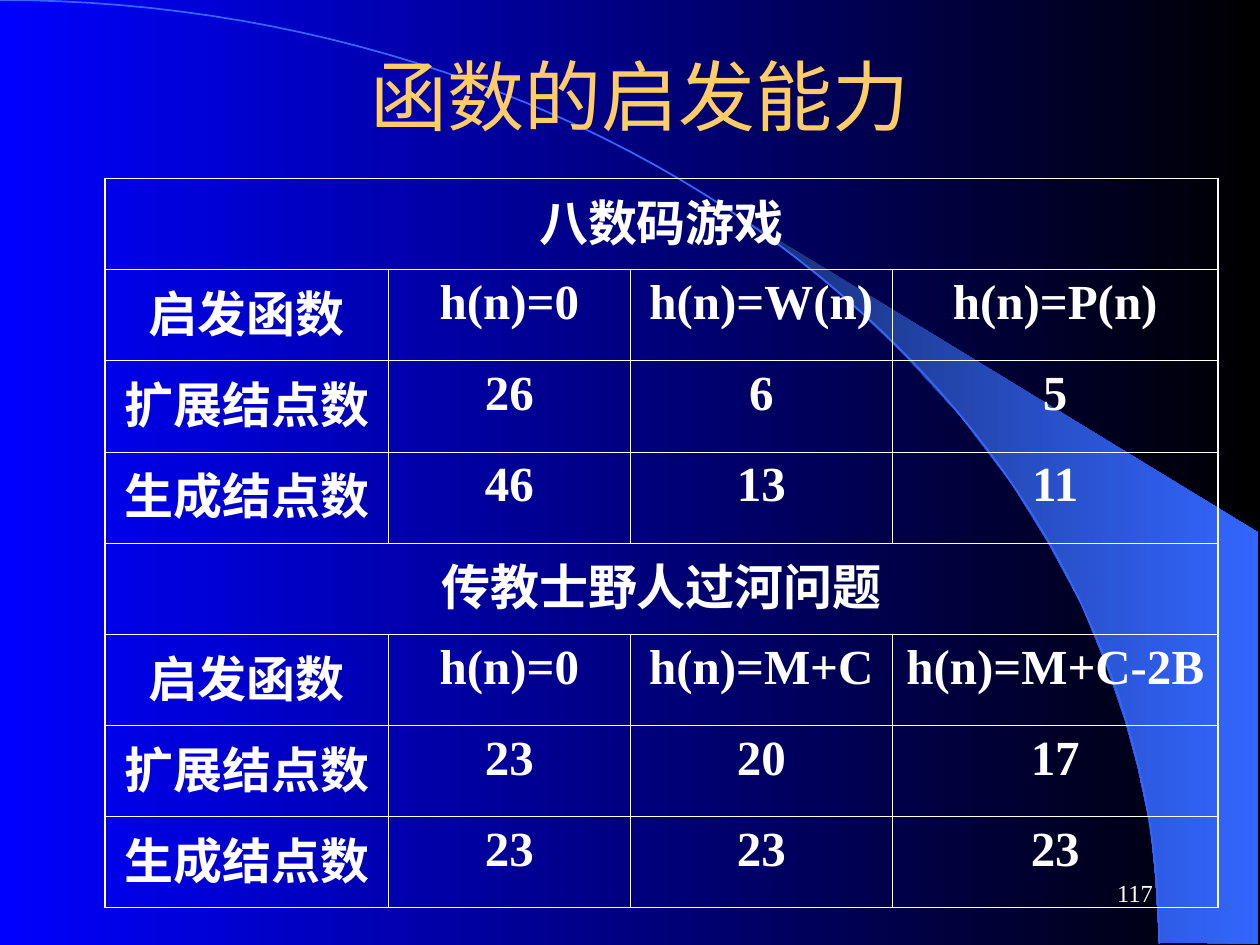
import math

from lxml import etree
from pptx import Presentation
from pptx.dml.color import RGBColor
from pptx.enum import text as t
from pptx.oxml.ns import qn
from pptx.util import Pt

TITLE = "函数的启发能力"
PAGE_NUMBER = "117"
PROBLEMS = [
    ("八数码游戏", [
        ("启发函数", "h(n)=0", "h(n)=W(n)", "h(n)=P(n)"),
        ("扩展结点数", "26", "6", "5"),
        ("生成结点数", "46", "13", "11"),
    ]),
    ("传教士野人过河问题", [
        ("启发函数", "h(n)=0", "h(n)=M+C", "h(n)=M+C-2B"),
        ("扩展结点数", "23", "20", "17"),
        ("生成结点数", "23", "23", "23"),
    ]),
]
COLUMN_WIDTHS = [162, 138, 150, 186]
ROW_HEIGHT = 52.1
TABLE_LEFT, TABLE_TOP = 60, 102
OUTER_LINE, INNER_LINE = 1.08, 0.45
WHITE, GOLD, SKY = "FFFFFF", "FFCC66", "3366FF"

# Flare outline in inches
FLARE = [(9.2, 7.48), (9.99, 7.49), (9.99, 4.23), (5.89, 1.73), (6.24, 1.99),
         (6.53, 2.22), (6.85, 2.5), (7.16, 2.8), (7.62, 3.3), (8.03, 3.84),
         (8.32, 4.31), (8.58, 4.79), (8.78, 5.28), (8.93, 5.72), (9.03, 6.09),
         (9.13, 6.56), (9.17, 6.96)]
ARC_WIDTH, ARC_HEIGHT, ARC_STEPS = 662.4, 539.3, 60


def rgb(value):
    return RGBColor.from_string(value)


def gradient(fill, start, end):
    """Fill from left to right."""
    fill.gradient()
    fill.gradient_angle = 0
    for stop, value, position in zip(fill.gradient_stops, (start, end), (0, 1)):
        stop.color.rgb = rgb(value)
        stop.position = position


def outline(shapes, points, closed):
    """Add a freeform through points given in points."""
    corners = [(Pt(x), Pt(y)) for x, y in points]
    builder = shapes.build_freeform(*corners[0])
    builder.add_line_segments(corners[1:], close=closed)
    shape = builder.convert_to_shape()
    shape.shadow.inherit = False
    return shape


def write(frame, words, size, font, color, align, bold=False):
    paragraph = frame.paragraphs[0]
    paragraph.alignment = align
    run = paragraph.add_run()
    run.text = words
    run.font.size = Pt(size)
    run.font.name = font
    run.font.bold = bold
    run.font.color.rgb = rgb(color)
    return paragraph


def set_borders(cell, outer_sides):
    properties = cell._tc.get_or_add_tcPr()
    for side in "LRTB":
        width = OUTER_LINE if side in outer_sides else INNER_LINE
        line = etree.SubElement(properties, qn("a:ln" + side), w=str(int(Pt(width))))
        fill = etree.SubElement(line, qn("a:solidFill"))
        etree.SubElement(fill, qn("a:srgbClr"), val=WHITE)


def add_backdrop(slide):
    gradient(slide.background.fill, "0000FF", "000000")
    flare = outline(slide.shapes, [(x * 72, y * 72) for x, y in FLARE], True)
    gradient(flare.fill, "182F76", SKY)
    flare.line.fill.background()

    angles = [math.pi / 2 * step / ARC_STEPS for step in range(ARC_STEPS + 1)]
    arc = outline(slide.shapes, [(ARC_WIDTH * math.sin(a), ARC_HEIGHT * (1 - math.cos(a)))
                                 for a in angles], False)
    arc.fill.background()
    arc.line.color.rgb = rgb(SKY)
    arc.line.width = Pt(1)


def add_page_number(slide):
    box = slide.shapes.add_textbox(Pt(516), Pt(492), Pt(150), Pt(36))
    box.text_frame.word_wrap = True
    box.text_frame.vertical_anchor = t.MSO_ANCHOR.MIDDLE
    write(box.text_frame, PAGE_NUMBER, 14, "Times New Roman", WHITE, t.PP_ALIGN.RIGHT)


def place_title(slide):
    title = slide.shapes.title
    title.left, title.top, title.width, title.height = Pt(60), Pt(18), Pt(612), Pt(72)
    title.text_frame.vertical_anchor = t.MSO_ANCHOR.MIDDLE
    write(title.text_frame, TITLE, 44, "Arial", GOLD, t.PP_ALIGN.CENTER)
    slide.shapes._spTree.append(title._element)  # bring above the backdrop


def add_results(slide):
    rows = [row for heading, body in PROBLEMS for row in [(heading,), *body]]
    last_row, last_column = len(rows) - 1, len(COLUMN_WIDTHS) - 1
    table = slide.shapes.add_table(
        len(rows), len(COLUMN_WIDTHS), Pt(TABLE_LEFT), Pt(TABLE_TOP),
        Pt(sum(COLUMN_WIDTHS)), Pt(ROW_HEIGHT * len(rows))).table
    table.first_row = table.horz_banding = False
    for column, width in zip(table.columns, COLUMN_WIDTHS):
        column.width = Pt(width)
    for r, row in enumerate(rows):
        table.rows[r].height = Pt(ROW_HEIGHT)
        is_heading = len(row) == 1
        if is_heading:
            table.cell(r, 0).merge(table.cell(r, last_column))
        for c in range(len(COLUMN_WIDTHS)):
            cell = table.cell(r, c)
            edges = {"L": c == 0, "R": c == last_column or is_heading,
                     "T": r == 0, "B": r == last_row}
            set_borders(cell, [side for side, outer in edges.items() if outer])
            cell.fill.background()
            if c < len(row):
                paragraph = write(cell.text_frame, row[c], 28, "Times New Roman",
                                  WHITE, t.PP_ALIGN.CENTER, bold=True)
                paragraph.space_before = Pt(7)


def main():
    deck = Presentation()
    deck.slide_width, deck.slide_height = Pt(720), Pt(540)
    slide = deck.slides.add_slide(deck.slide_layouts[5])
    add_backdrop(slide)
    add_page_number(slide)
    place_title(slide)
    add_results(slide)
    deck.save("out.pptx")


if __name__ == "__main__":
    main()
